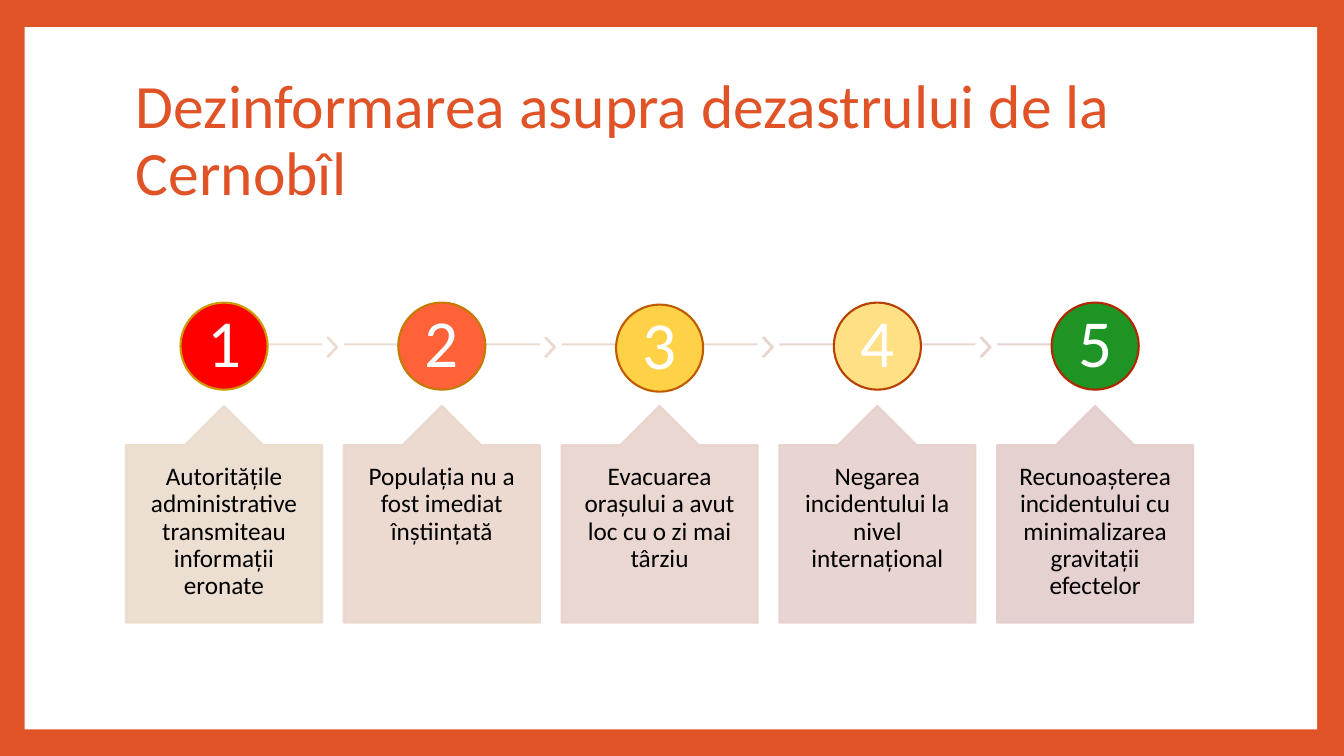
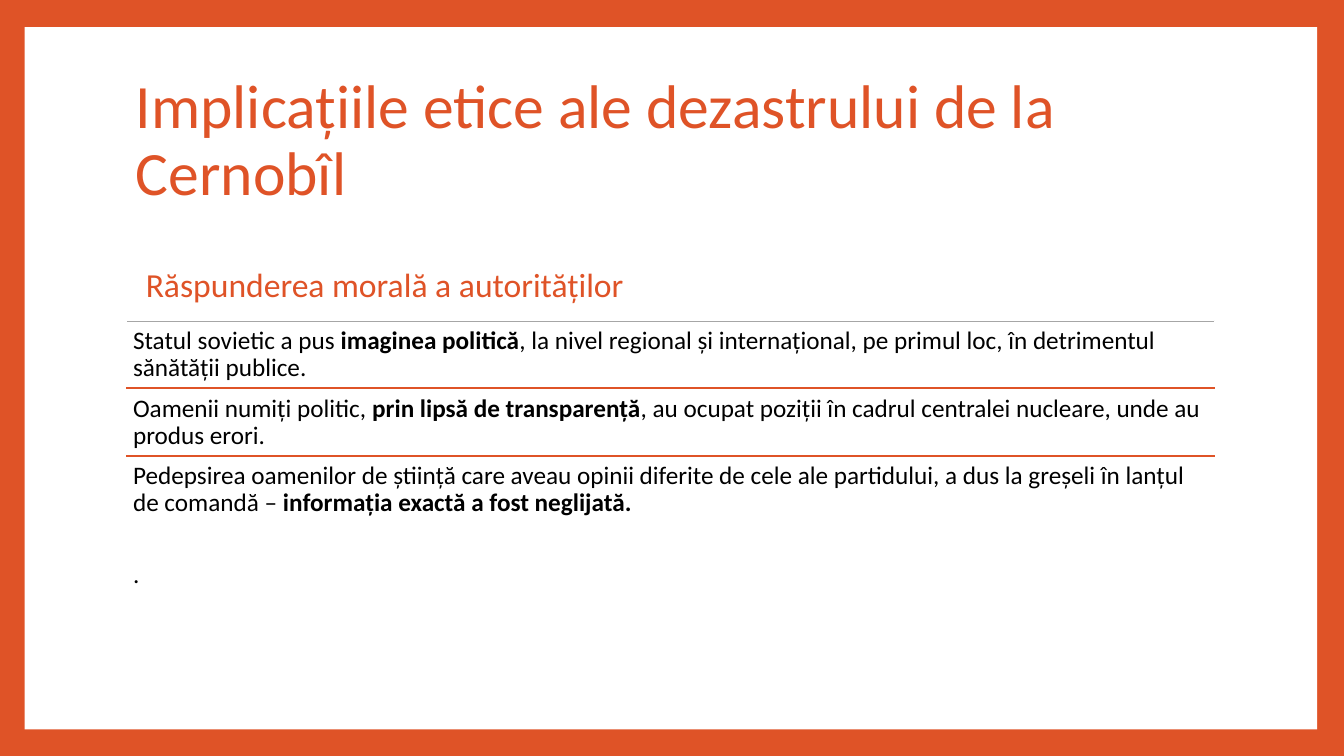
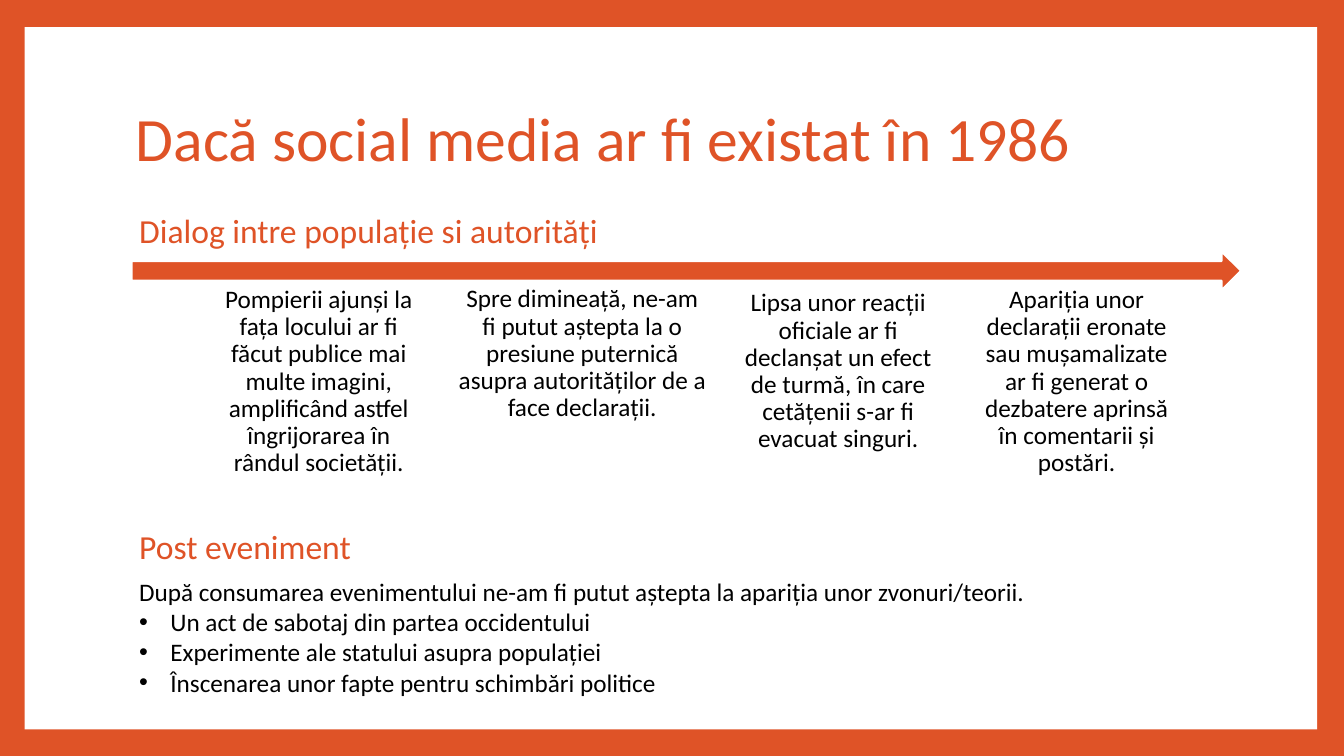
from lxml.etree import SubElement
from pptx import Presentation
from pptx.dml.color import RGBColor
from pptx.enum.shapes import MSO_CONNECTOR, MSO_SHAPE
from pptx.enum.text import MSO_ANCHOR, PP_ALIGN
from pptx.oxml.ns import qn
from pptx.util import Inches, Pt

ORANGE = RGBColor(0xDF, 0x53, 0x27)
WHITE = RGBColor(0xFF, 0xFF, 0xFF)
BLACK = RGBColor(0x00, 0x00, 0x00)
GREY = RGBColor(0xA6, 0xA6, 0xA6)
RED = RGBColor(0xFF, 0x00, 0x00)
CORAL = RGBColor(0xFF, 0x62, 0x38)
GOLD = RGBColor(0xFF, 0xD1, 0x47)
CREAM = RGBColor(0xFF, 0xE0, 0x85)
GREEN = RGBColor(0x1E, 0x94, 0x24)
RINGS = [RGBColor(0xCC, 0x99, 0x00), RGBColor(0xC5, 0x7A, 0x00),
         RGBColor(0xBF, 0x5C, 0x00), RGBColor(0xB8, 0x40, 0x00),
         RGBColor(0xB2, 0x26, 0x00)]
LINKS = [RGBColor(0xEC, 0xDE, 0xCC), RGBColor(0xEB, 0xD9, 0xCC),
         RGBColor(0xE9, 0xD5, 0xCC), RGBColor(0xE7, 0xD2, 0xCC),
         RGBColor(0xE6, 0xCF, 0xCC)]
CALLOUTS = [RGBColor(0xEB, 0xDB, 0xCC), RGBColor(0xEA, 0xD7, 0xCC),
            RGBColor(0xE8, 0xD3, 0xCC), RGBColor(0xE6, 0xD0, 0xCC),
            RGBColor(0xE4, 0xCD, 0xCC)]

FONT = "Calibri"
LEFT, COLUMN, ROW = 1.25, 1.08, 0.67
COLUMNS = 10

TITLE = {"size": Pt(44), "color": ORANGE}
HEADING = {"size": Pt(24), "color": ORANGE}
BODY = {"size": Pt(18), "color": BLACK}
NUMBER = {"size": Pt(48), "color": WHITE}
CENTERED = {"alignment": PP_ALIGN.CENTER, "line_spacing": 0.9}
TIGHT = {"line_spacing": 0.9}

STEPS = [
    (RED, 4.48, "Autoritățile administrative transmiteau informații eronate"),
    (CORAL, 4.48, "Populația nu a fost imediat înștiințată"),
    (GOLD, 4.51, "Evacuarea orașului a avut loc cu o zi mai târziu"),
    (CREAM, 4.48, "Negarea incidentului la nivel internațional"),
    (GREEN, 4.48, "Recunoașterea incidentului cu minimalizarea gravitații efectelor"),
]
DUTIES = [
    ["Statul sovietic a pus *imaginea politică*, la nivel regional și "
     "internațional, pe primul loc, în detrimentul sănătății publice."],
    ["Oamenii numiți politic, *prin lipsă de transparență*, au ocupat poziții "
     "în cadrul centralei nucleare, unde au produs erori."],
    ["Pedepsirea oamenilor de știință care aveau opinii diferite de cele ale "
     "partidului, a dus la greșeli în lanțul de comandă – "
     "*informația exactă a fost neglijată.*", "."],
]
REACTIONS = [
    (0.87, 4.69, 1.8, "Pompierii ajunși la fața locului ar fi făcut publice mai multe "
     "imagini, amplificând astfel îngrijorarea în rândul societății."),
    (3.04, 4.28, 2.3, "Spre dimineață, ne-am fi putut aștepta la o presiune puternică "
     "asupra autorităților de a face declarații."),
    (5.64, 4.54, 1.8, "Lipsa unor reacții oficiale ar fi declanșat un efect de turmă, "
     "în care cetățenii s-ar fi evacuat singuri."),
    (7.83, 4.69, 1.8, "Apariția unor declarații eronate sau mușamalizate ar fi generat "
     "o dezbatere aprinsă în comentarii și postări."),
]
RUMOURS = [
    "După consumarea evenimentului ne-am fi putut aștepta la apariția unor zvonuri/teorii.",
    "Un act de sabotaj din partea occidentului",
    "Experimente ale statului asupra populației",
    "Înscenarea unor fapte pentru schimbări politice",
]


def apply(target, values):
    for name, value in values.items():
        setattr(target, name, value)


def across(column):
    return Inches(LEFT + COLUMN * column)


def down(row):
    return Inches(ROW * row)


def area(column, row, columns, rows):
    return across(column), down(row), Inches(COLUMN * columns), Inches(ROW * rows)


def soften(element):
    for color in element.iter(qn("a:srgbClr")):
        SubElement(color, qn("a:alpha")).set("val", "90000")


def add_block(page, kind, place, fill=None, line=None, width=1.5, adjust=(), soft=False):
    shape = page.shapes.add_shape(kind, *place)
    shape.shadow.inherit = False
    for index, value in enumerate(adjust):
        shape.adjustments[index] = value
    for part, color in ((shape.fill, fill), (shape.line.fill, line)):
        if color is None:
            part.background()
        else:
            part.solid()
            part.fore_color.rgb = color
    if line is not None:
        shape.line.width = Pt(width)
    if soft:
        soften(shape.element.spPr)
    return shape


def add_rule(page, start, end, row, color, soft=False):
    rule = page.shapes.add_connector(
        MSO_CONNECTOR.STRAIGHT, across(start), down(row), across(end), down(row))
    rule.line.color.rgb = color
    rule.line.width = Pt(1.5)
    properties = rule.line._get_or_add_ln().getparent()
    SubElement(properties, qn("a:effectLst"))
    if soft:
        soften(properties)


def write(frame, texts, look, layout=None, insets=(0.1, 0.05), anchor=MSO_ANCHOR.TOP):
    side, edge = (Inches(inset) for inset in insets)
    apply(frame, {"word_wrap": True, "vertical_anchor": anchor,
                  "margin_left": side, "margin_right": side,
                  "margin_top": edge, "margin_bottom": edge})
    for index, text in enumerate(texts):
        para = frame.add_paragraph() if index else frame.paragraphs[0]
        apply(para, layout or {})
        for order, piece in enumerate(text.split("*")):
            if piece:
                span = para.add_run()
                span.text = piece
                apply(span.font, {"name": FONT, "size": look["size"], "bold": order % 2 == 1})
                span.font.color.rgb = look["color"]


def add_text(page, place, texts, look, **options):
    box = page.shapes.add_textbox(*place)
    write(box.text_frame, texts, look, **options)
    return box.text_frame.paragraphs


def add_bullet(para):
    properties = para._p.get_or_add_pPr()
    properties.set("marL", str(Inches(0.31)))
    properties.set("indent", str(-Inches(0.31)))
    SubElement(properties, qn("a:buFont")).set("typeface", "Arial")
    SubElement(properties, qn("a:buChar")).set("char", "•")


def add_page(deck, title):
    page = deck.slides.add_slide(deck.slide_layouts[6])
    add_block(page, MSO_SHAPE.RECTANGLE, area(-0.93, 0.4, 11.87, 10.4), WHITE)
    add_text(page, area(0, 1, COLUMNS, 2.2), [title], TITLE,
             layout=TIGHT, anchor=MSO_ANCHOR.MIDDLE)
    return page


def add_step(page, index, fill, circle_row, text):
    left, width, middle = index * 2, 1.8, index * 2 + 0.9
    last = index == len(STEPS) - 1
    add_rule(page, left if index else middle, middle if last else left + width,
             5.1, LINKS[index], soft=True)
    if not last:
        add_block(page, MSO_SHAPE.CHEVRON, area(left + 1.85, 5, 0.09, 0.28),
                  CALLOUTS[index], CALLOUTS[index], adjust=[0.9], soft=True)
    circle = add_block(page, MSO_SHAPE.OVAL, area(middle - 0.4, circle_row, 0.8, 1.29),
                       fill, RINGS[index])
    write(circle.text_frame, [str(index + 1)], NUMBER, layout=CENTERED,
          insets=(0.03, 0.03), anchor=MSO_ANCHOR.MIDDLE)
    add_block(page, MSO_SHAPE.UP_ARROW_CALLOUT, area(left, 6.01, width, 3.21),
              CALLOUTS[index], CALLOUTS[index], adjust=[0.5, 0.2, 0.2, 1], soft=True)
    add_text(page, area(left, 6.6, width, 2.62), [text], BODY,
             layout=CENTERED, insets=(0.15, 0.18))


def add_disinformation(deck):
    page = add_page(deck, "Dezinformarea asupra dezastrului de la Cernobîl")
    for index, step in enumerate(STEPS):
        add_step(page, index, *step)


def add_ethics(deck):
    page = add_page(deck, "Implicațiile etice ale dezastrului de la Cernobîl")
    add_text(page, area(0.09, 3.84, 6.56, 0.75), ["Răspunderea morală a autorităților"], HEADING)
    for index, texts in enumerate(DUTIES):
        row = 4.75 + index
        add_rule(page, 0, COLUMNS, row, ORANGE if index else GREY)
        if index == 0:
            add_block(page, MSO_SHAPE.RECTANGLE, area(0, row, COLUMNS, 1),
                      line=WHITE, width=0.75)
        paragraphs = add_text(page, area(0, row, COLUMNS, 1), texts, BODY,
                              layout=TIGHT, insets=(0.07, 0.07))
        for para in paragraphs[1:]:
            para.space_before = Pt(32)


def add_social_media(deck):
    page = add_page(deck, "Dacă social media ar fi existat în 1986")
    add_text(page, area(0.03, 3.04, 8.16, 0.75), ["Dialog intre populație si autorități"], HEADING)
    add_block(page, MSO_SHAPE.RIGHT_ARROW, area(0.05, 3.72, 10.19, 0.58), ORANGE, WHITE)
    for column, row, columns, text in REACTIONS:
        add_text(page, area(column, row, columns, 1.93), [text], BODY,
                 layout=CENTERED, insets=(0, 0.2), anchor=MSO_ANCHOR.MIDDLE)
    add_text(page, area(0.03, 7.72, 3.18, 0.75), ["Post eveniment"], HEADING)
    for para in add_text(page, area(0.03, 8.46, 9.97, 1.96), RUMOURS, BODY)[1:]:
        add_bullet(para)


def main():
    deck = Presentation()
    apply(deck, {"slide_width": Inches(13.33), "slide_height": Inches(7.5)})
    backdrop = deck.slide_master.background.fill
    backdrop.solid()
    backdrop.fore_color.rgb = ORANGE
    add_disinformation(deck)
    add_ethics(deck)
    add_social_media(deck)
    deck.save("out.pptx")


if __name__ == "__main__":
    main()
